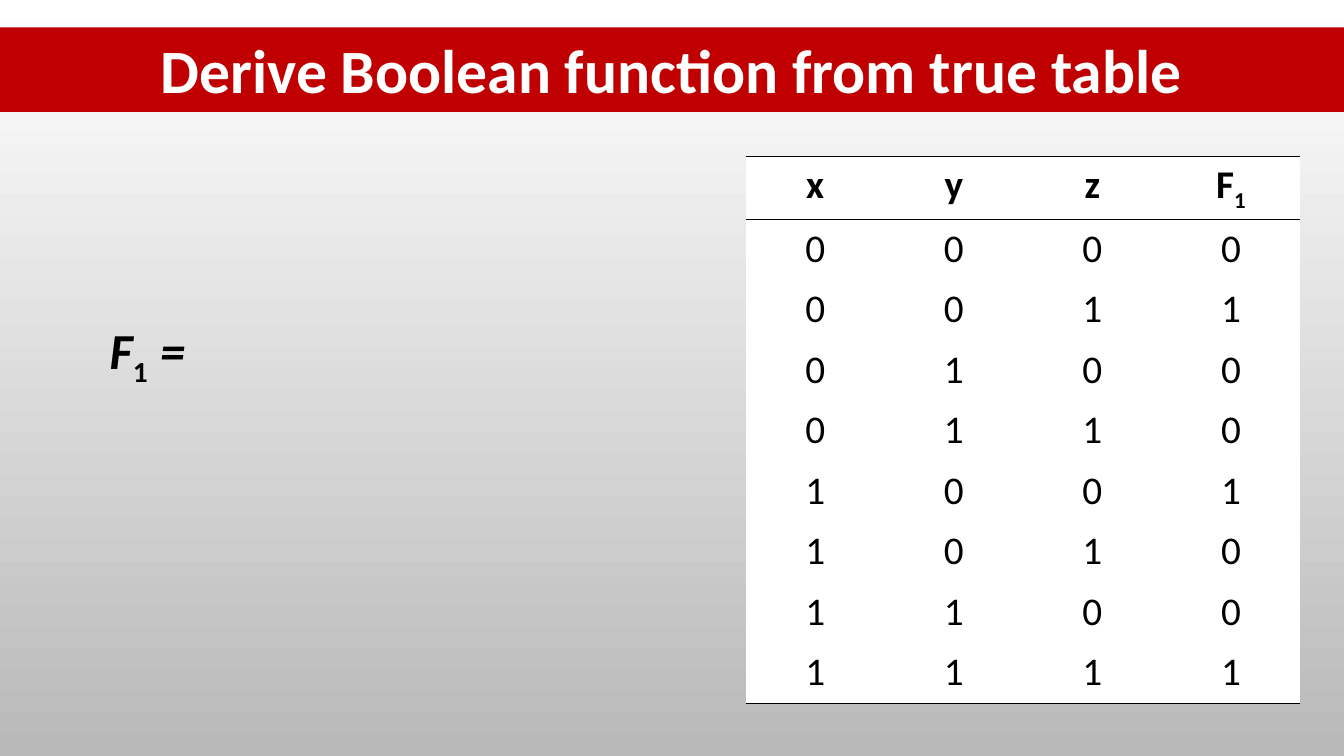
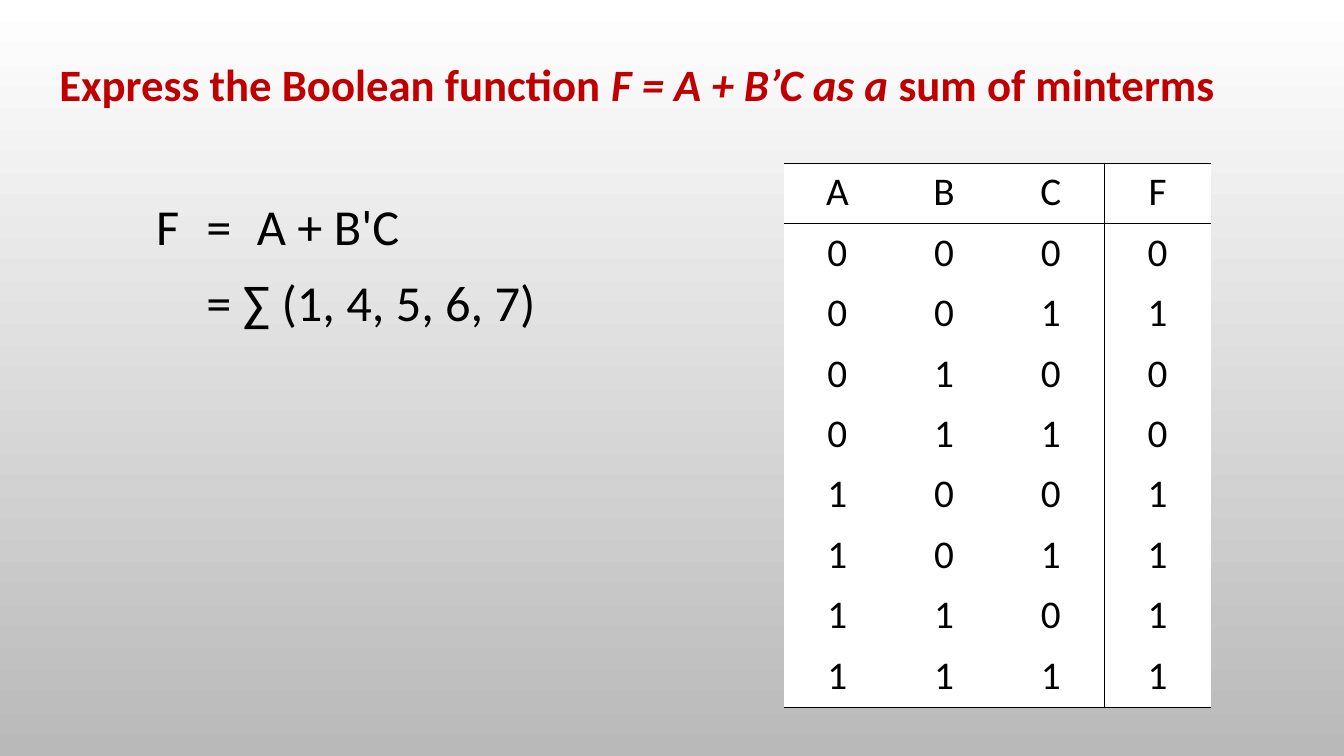
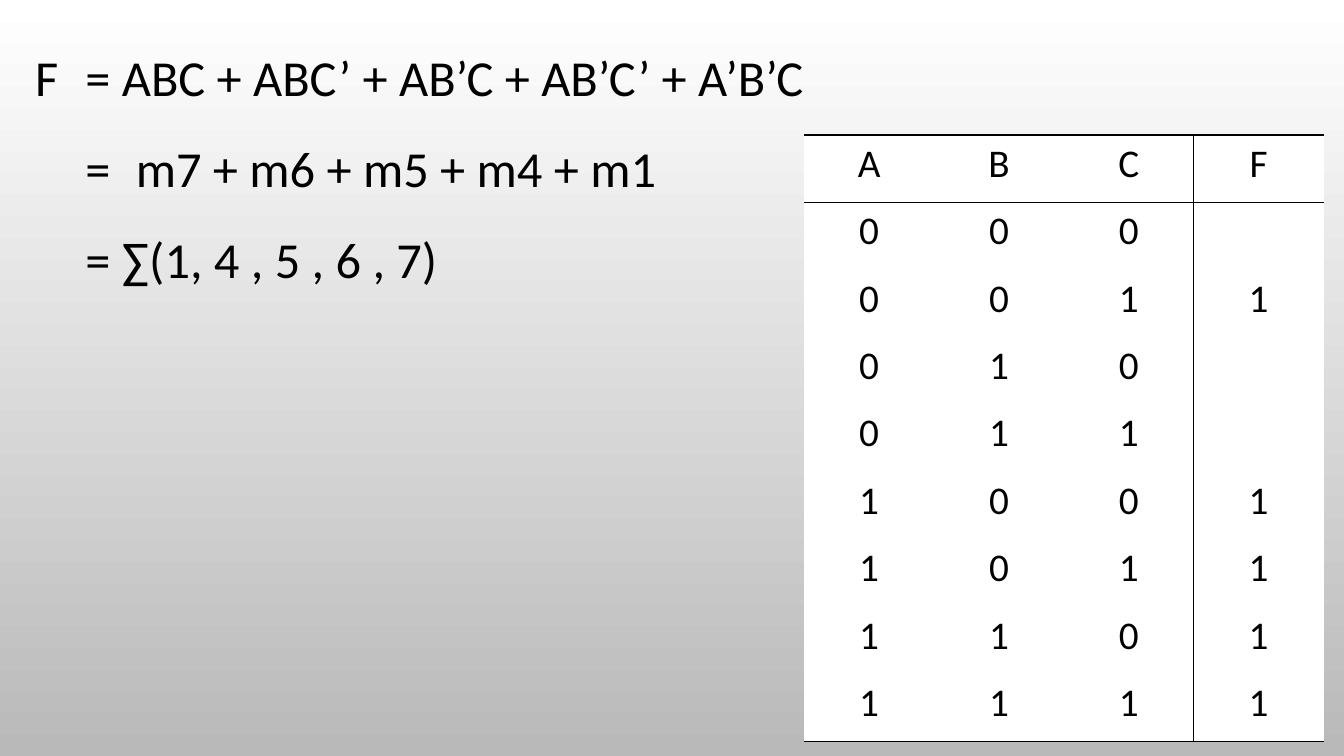
import itertools
from dataclasses import dataclass

import pptx
import pptx.dml.color
import pptx.enum.shapes
import pptx.enum.text
import pptx.oxml
import pptx.oxml.ns
import pptx.util

Pt = pptx.util.Pt
Align = pptx.enum.text.PP_ALIGN
Anchor = pptx.enum.text.MSO_ANCHOR


@dataclass(frozen=True)
class Theme:
    font: str = "Calibri"
    red: str = "C00000"
    black: str = "000000"
    white: str = "FFFFFF"
    grey: str = "B9B9B9"
    title_size: int = 44
    formula_size: int = 36
    heading_size: int = 32
    table_size: int = 28
    rule_width: int = 1
    tab_width: int = 36


def rgb(colour):
    return pptx.dml.color.RGBColor.from_string(colour)


class Deck:
    def __init__(self, theme):
        self.theme = theme
        self.presentation = pptx.Presentation()
        self.presentation.slide_width = Pt(960)
        self.presentation.slide_height = Pt(540)
        self.slide = None

    def add_slide(self):
        """Start a slide with the shared white-to-grey background."""
        self.slide = self.presentation.slides.add_slide(self.presentation.slide_layouts[6])
        fill = self.slide.background.fill
        fill.gradient()
        fill.gradient_angle = 270
        colours = (self.theme.white, self.theme.grey)
        for position, (stop, colour) in enumerate(zip(fill.gradient_stops, colours)):
            stop.position = position
            stop.color.rgb = rgb(colour)

    def add_runs(self, paragraph, parts, size, colour, bold=False):
        """Add (text, style) parts; a style may name italic and sub."""
        for text, style in parts:
            run = paragraph.add_run()
            run.text = text
            font = run.font
            font.name, font.size, font.color.rgb = self.theme.font, Pt(size), rgb(colour)
            font.bold, font.italic = bold, "italic" in style
            if "sub" in style:
                run._r.get_or_add_rPr().set("baseline", "-25000")

    def band(self, text, top, height):
        shape = self.slide.shapes.add_shape(
            pptx.enum.shapes.MSO_SHAPE.RECTANGLE, 0, Pt(top), Pt(960), Pt(height))
        shape.shadow.inherit = False
        shape.fill.solid()
        shape.fill.fore_color.rgb = rgb(self.theme.red)
        shape.line.fill.background()
        text_frame = shape.text_frame
        text_frame.word_wrap = True
        text_frame.vertical_anchor = Anchor.TOP
        paragraph = text_frame.paragraphs[0]
        paragraph.alignment = Align.CENTER
        self.add_runs(paragraph, [(text, "")], self.theme.title_size, self.theme.white, bold=True)

    def text(self, lines, box, size, colour=None, bold=False, spacing=1.0, indent=0):
        """Add a text box; each line is a list of (text, style) parts."""
        text_frame = self.slide.shapes.add_textbox(*map(Pt, box)).text_frame
        text_frame.word_wrap = True
        for index, parts in enumerate(lines):
            paragraph = text_frame.add_paragraph() if index else text_frame.paragraphs[0]
            paragraph.line_spacing = spacing
            properties = paragraph._p.get_or_add_pPr()
            properties.set("marL", str(Pt(indent)))
            properties.set("indent", "0")
            properties.set("defTabSz", str(Pt(self.theme.tab_width)))
            self.add_runs(paragraph, parts, size, colour or self.theme.black, bold)

    def border(self, cell, ruled_sides):
        properties = cell._tc.get_or_add_tcPr()
        for side in "LRTB":
            paint = "<a:noFill/>"
            if side in ruled_sides:
                paint = f'<a:solidFill><a:srgbClr val="{self.theme.black}"/></a:solidFill>'
            properties.append(pptx.oxml.parse_xml(
                f'<a:ln{side} {pptx.oxml.ns.nsdecls("a")} w="{Pt(self.theme.rule_width)}">'
                f"{paint}</a:ln{side}>"))

    def truth_table(self, header, outputs, box, bold_header=False, divider=True):
        """Count the inputs up in binary; outputs holds one mark per row."""
        inputs = itertools.product("01", repeat=len(header) - 1)
        rows = [header] + [[*bits, output.strip()] for bits, output in zip(inputs, outputs)]
        last_row, last_column = len(rows) - 1, len(header) - 1
        table = self.slide.shapes.add_table(len(rows), len(header), *map(Pt, box)).table
        table.first_row = table.horz_banding = False
        for row, values in enumerate(rows):
            for column, value in enumerate(values):
                cell = table.cell(row, column)
                sides = {0: "TB", 1: "T", last_row: "B"}.get(row, "")
                if divider:
                    sides += {last_column - 1: "R", last_column: "L"}.get(column, "")
                self.border(cell, sides)
                cell.fill.solid()
                cell.fill.fore_color.rgb = rgb(self.theme.white)
                paragraph = cell.text_frame.paragraphs[0]
                paragraph.alignment = Align.CENTER
                # A digit after a letter is a subscript
                parts = [(value[:1], ""), (value[1:], "sub")]
                self.add_runs(paragraph, [part for part in parts if part[0]],
                              self.theme.table_size, self.theme.black,
                              bold=bold_header and row == 0)


def main():
    theme = Theme()
    deck = Deck(theme)

    # Function from a truth table
    deck.add_slide()
    deck.band("Derive Boolean function from true table", top=19.5, height=60.5)
    deck.text([[("F", "italic"), ("1\t", "sub"), ("=", "italic")]],
              (71.3, 224.6, 401, 51), theme.formula_size, bold=True)
    deck.truth_table(["x", "y", "z", "F1"], "01001001", (532.8, 111.6, 396, 388.8),
                     bold_header=True, divider=False)

    # Sum of minterms
    deck.add_slide()
    deck.text([[("Express the Boolean function ", ""), ("F = A + B’C as a ", "italic"),
                ("sum of minterms", "")]],
              (35.3, 36.7, 905, 46), theme.heading_size, theme.red, bold=True)
    deck.text([[("F\t=\tA + B'C", "")], [("\t= ∑ (1, 4, 5, 6, 7)", "")]],
              (68.4, 125.3, 491, 170.6), theme.formula_size, spacing=1.25, indent=36)
    deck.truth_table(list("ABCF"), "01001111", (560, 116.6, 305, 388.8))

    # Minterms written out
    deck.add_slide()
    deck.text([[("F\t= ABC + ABC’ + AB’C + AB’C’ + A’B’C", "")],
               [("\t=\tm7 + m6 + m5 + m4 + m1", "")],
               [("\t= ∑(1, 4 , 5 , 6 , 7)", "")]],
              (18, 8, 617, 196.6), theme.formula_size, spacing=1.5)
    deck.truth_table(list("ABCF"), " 1  1111", (574.4, 96.5, 371, 433.4))

    deck.presentation.save("out.pptx")


if __name__ == "__main__":
    main()
